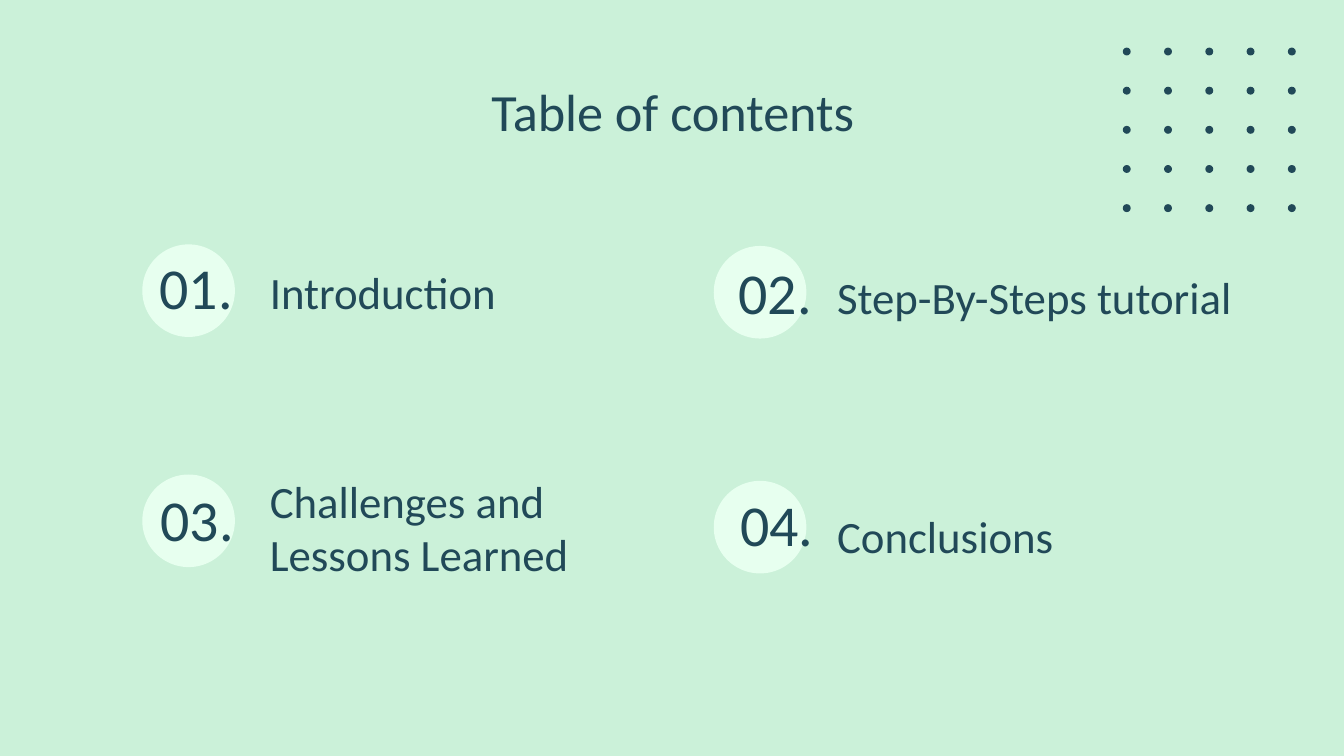
from pptx import Presentation
from pptx.dml.color import RGBColor
from pptx.enum.shapes import MSO_SHAPE as Shape
from pptx.enum.text import MSO_ANCHOR as Anchor, PP_ALIGN as Align
from pptx.util import Cm, Pt

COLORS = {"background": "CBF1D9", "ink": "214958", "badge": "E7FFEF"}
FONT = "Calibri"
HEADING = "Table of contents"

# Lengths in cm: badge and number are (left, top), label is (left, top, width, height)
SECTIONS = [
    {"number": "01.", "title": "Introduction", "badge": (2.69, 4.62),
     "number_at": (2.01, 4.7), "title_at": (4.85, 4.8, 7.57, 1.42)},
    {"number": "02.", "title": "Step-By-Steps tutorial", "badge": (13.49, 4.65),
     "number_at": (12.95, 4.8), "title_at": (15.57, 4.62, 9.04, 1.98)},
    {"number": "03.", "title": "Challenges and Lessons Learned", "badge": (2.69, 8.97),
     "number_at": (2.03, 9.09), "title_at": (4.85, 9.09, 7.57, 1.75)},
    {"number": "04.", "title": "Conclusions", "badge": (13.49, 9.09),
     "number_at": (12.98, 9.19), "title_at": (15.57, 9.42, 7.59, 1.42)},
]
BADGE_SIZE = 1.75
NUMBER_SIZE = (2.64, 1.42)
DOTS_PER_SIDE = 5
DOT_SIZE = 0.15
DOTS_LEFT, DOTS_TOP = 21.22, 0.9
DOT_STEP_X, DOT_STEP_Y = 0.78, 0.74


def color(name):
    return RGBColor.from_string(COLORS[name])


def add_circle(slide, left, top, size, fill):
    circle = slide.shapes.add_shape(Shape.OVAL, Cm(left), Cm(top), Cm(size), Cm(size))
    circle.shadow.inherit = False
    circle.fill.solid()
    circle.fill.fore_color.rgb = color(fill)
    circle.line.fill.background()


def add_text(slide, words, box, size, align=Align.LEFT, anchor=Anchor.MIDDLE):
    frame = slide.shapes.add_textbox(*map(Cm, box)).text_frame
    frame.word_wrap = True
    frame.vertical_anchor = anchor
    frame.margin_left = frame.margin_right = Cm(0.25)
    frame.margin_top = frame.margin_bottom = Cm(0.25)
    paragraph = frame.paragraphs[0]
    paragraph.alignment = align
    run = paragraph.add_run()
    run.text = words
    run.font.name = FONT
    run.font.size = Pt(size)
    run.font.color.rgb = color("ink")


def main():
    prs = Presentation()
    prs.slide_width, prs.slide_height = Cm(25.4), Cm(14.29)
    slide = prs.slides.add_slide(prs.slide_layouts[6])
    slide.background.fill.solid()
    slide.background.fill.fore_color.rgb = color("background")

    for column in range(DOTS_PER_SIDE):
        for row in range(DOTS_PER_SIDE):
            add_circle(slide, DOTS_LEFT + column * DOT_STEP_X,
                       DOTS_TOP + row * DOT_STEP_Y, DOT_SIZE, "ink")

    for section in SECTIONS:
        add_circle(slide, *section["badge"], BADGE_SIZE, "badge")
        add_text(slide, section["title"], section["title_at"], 24)
        add_text(slide, section["number"], section["number_at"] + NUMBER_SIZE, 31, Align.RIGHT)

    add_text(slide, HEADING, (2.01, 1.24, 21.41, 1.6), 28, Align.CENTER, Anchor.TOP)
    prs.save("out.pptx")


if __name__ == "__main__":
    main()
